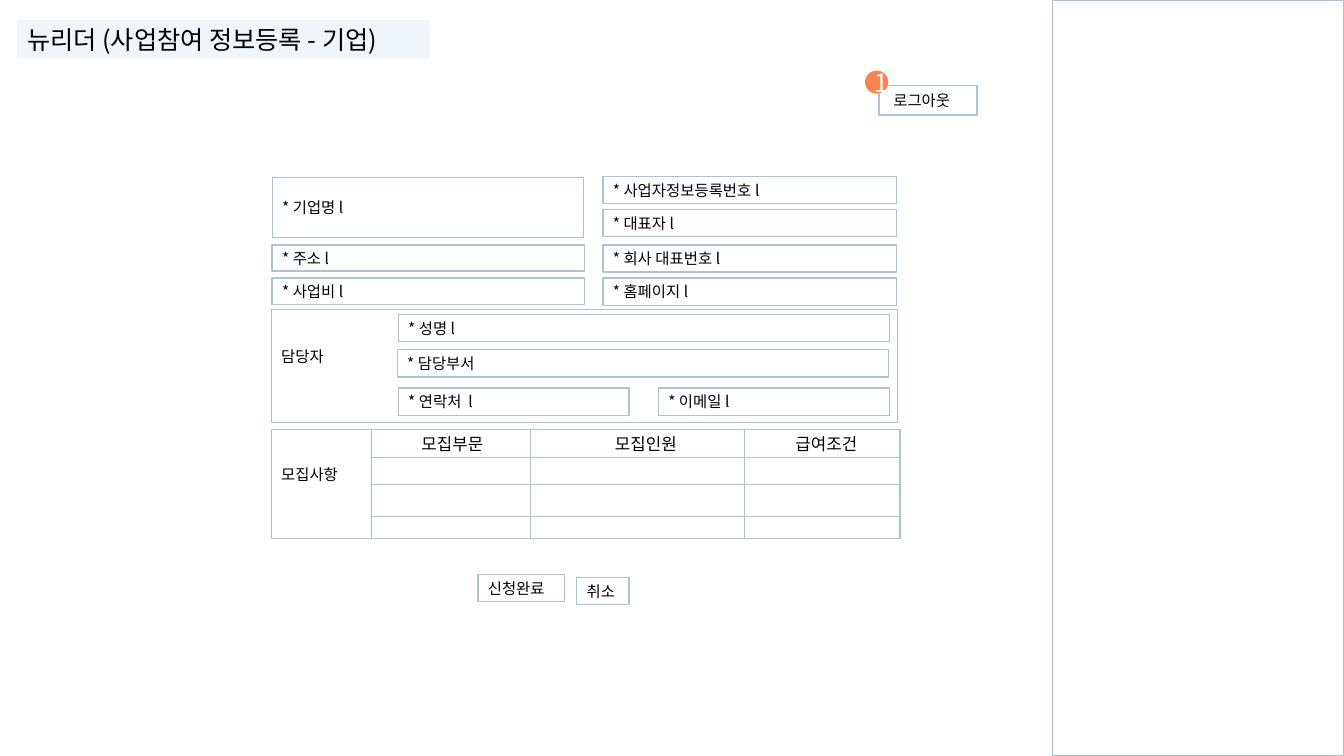
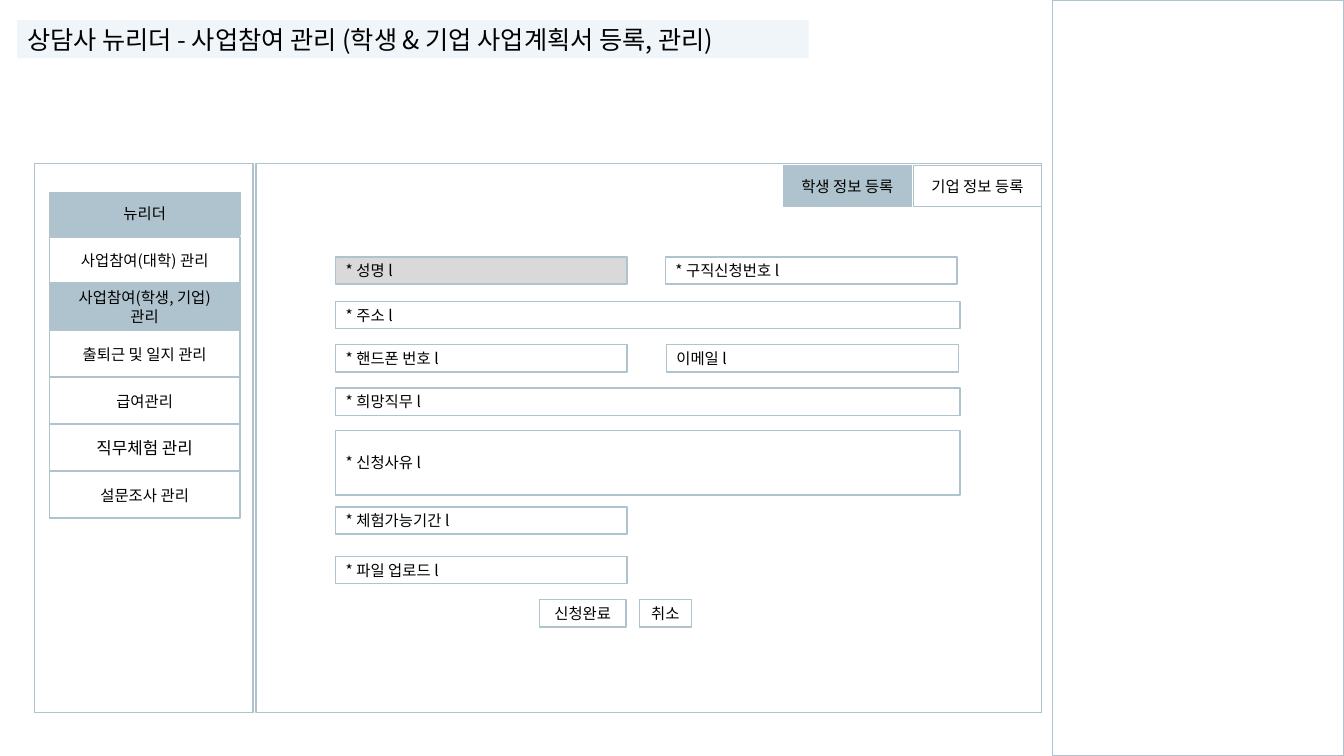
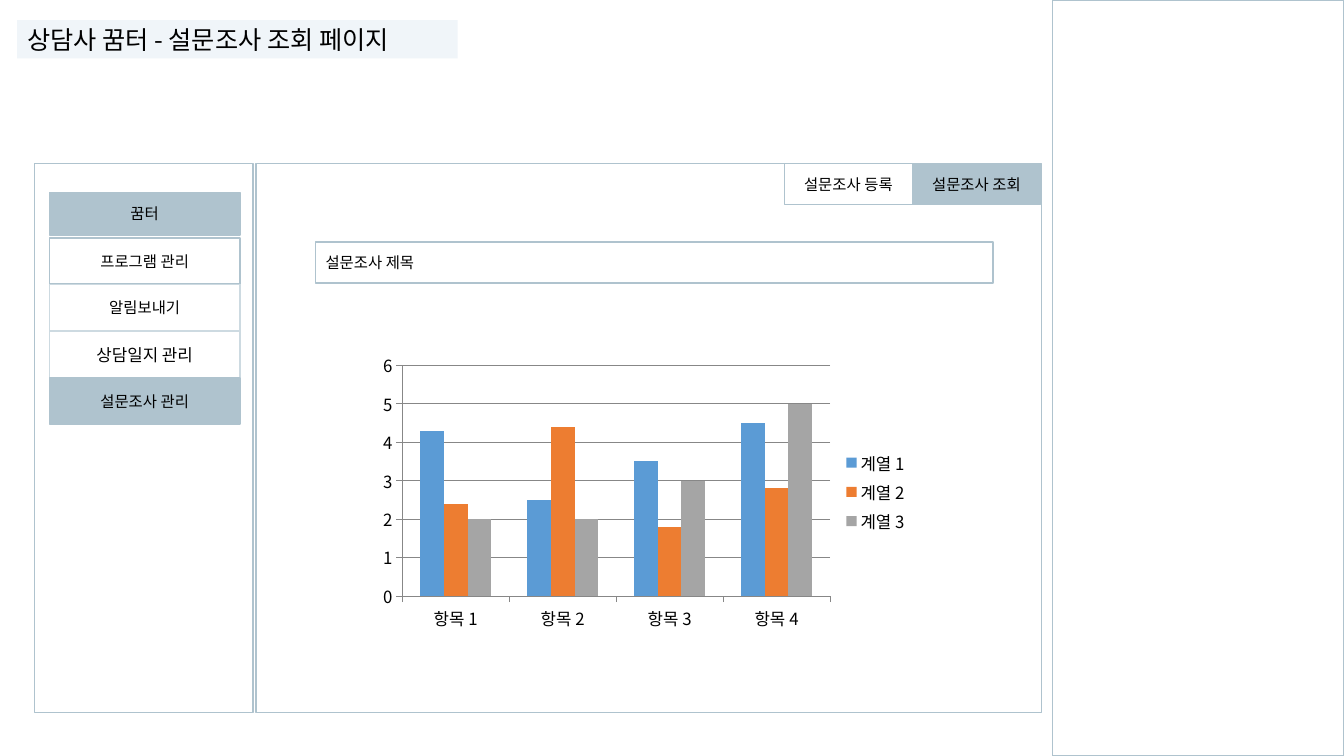
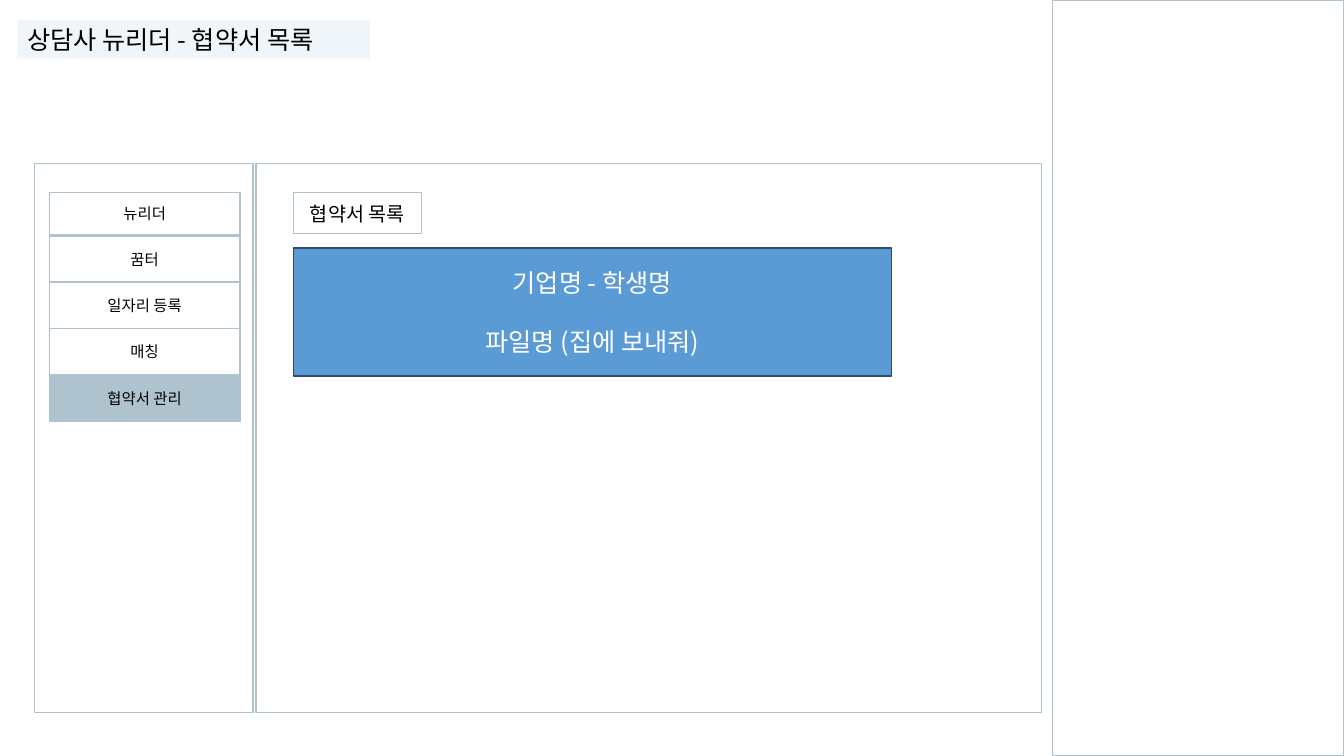
from lxml.etree import SubElement
from pptx import Presentation
from pptx.chart.data import CategoryChartData
from pptx.dml.color import RGBColor
from pptx.enum.chart import XL_CHART_TYPE, XL_LEGEND_POSITION, XL_TICK_MARK
from pptx.enum.shapes import MSO_SHAPE
from pptx.enum.text import MSO_ANCHOR, PP_ALIGN
from pptx.oxml.ns import qn
from pptx.util import Inches, Pt

FONT = "Noto Sans CJK KR"
BLACK = RGBColor(0x00, 0x00, 0x00)
WHITE = RGBColor(0xFF, 0xFF, 0xFF)
STEEL = RGBColor(0xAF, 0xC3, 0xCE)
PALE_STEEL = RGBColor(0xCD, 0xDA, 0xE1)
TITLE_BAND = RGBColor(0xF0, 0xF5, 0xF9)
GREY = RGBColor(0xD9, 0xD9, 0xD9)
CORAL = RGBColor(0xFC, 0x84, 0x53)
BLUE = RGBColor(0x5B, 0x9B, 0xD5)
NAVY = RGBColor(0x2D, 0x4D, 0x6A)
AXIS = RGBColor(0x87, 0x87, 0x87)
SERIES = [BLUE, RGBColor(0xED, 0x7D, 0x31), RGBColor(0xA5, 0xA5, 0xA5)]
LEFT, CENTER = PP_ALIGN.LEFT, PP_ALIGN.CENTER
ROW_H = 0.27


def write(tf, text, size=11, color=BLACK, align=LEFT, gap=0):
    """Fill a text frame, one paragraph per line, with gap points between."""
    for i, line in enumerate(text.split("\n")):
        p = tf.paragraphs[0] if i == 0 else tf.add_paragraph()
        p.alignment = align
        if i:
            p.space_before = Pt(gap)
        r = p.add_run()
        r.text = line
        for name, value in {"size": Pt(size), "name": FONT}.items():
            setattr(r.font, name, value)
        r.font.color.rgb = color
        SubElement(r._r.get_or_add_rPr(), qn("a:ea"), typeface=FONT)


def box(s, x, y, w, h, text="", fill=None, line=STEEL, shape=MSO_SHAPE.RECTANGLE, **style):
    """Add an outlined shape with vertically centred text."""
    sp = s.shapes.add_shape(shape, Inches(x), Inches(y), Inches(w), Inches(h))
    sp.shadow.inherit = False
    if fill is None:
        sp.fill.background()
    else:
        sp.fill.solid()
        sp.fill.fore_color.rgb = fill
    if line is None:
        sp.line.fill.background()
    else:
        sp.line.color.rgb = line
        sp.line.width = Pt(1)
    sp.text_frame.word_wrap = True
    sp.text_frame.vertical_anchor = MSO_ANCHOR.MIDDLE
    if text:
        write(sp.text_frame, text, **style)
    return sp


prs = Presentation()
prs.slide_width, prs.slide_height = Inches(13.33), Inches(7.5)

# Title band and notes column on every slide
slides = []
for title, width in [
    ("뉴리더 (사업참여 정보등록 - 기업)", 4.09),
    ("상담사 뉴리더 - 사업참여 관리 (학생 & 기업 사업계획서 등록, 관리)", 7.85),
    ("상담사 꿈터 - 설문조사 조회 페이지", 4.37),
    ("상담사 뉴리더 - 협약서 목록", 3.5),
]:
    s = prs.slides.add_slide(prs.slide_layouts[6])
    box(s, 10.44, 0, 2.89, 7.5)
    box(s, 0.17, 0.2, width, 0.38, title, fill=TITLE_BAND, line=None, size=18)
    slides.append(s)
company, student, survey, agreement = slides

# Side menu and content panel: first row, step, selected rows, larger rows, pale rows
for s, top, step, selected, larger, pale, items in [
    (student, 2.35, 0.466, (0, 2), (5,), (),
     ["뉴리더", "사업참여(대학) 관리", "사업참여(학생, 기업)\n관리", "출퇴근 및 일지 관리",
      "급여관리", "직무체험 관리", "설문조사 관리"]),
    (survey, 2.36, 0.463, (0, 4), (3,), (2, 3),
     ["꿈터", "프로그램 관리", "알림보내기", "상담일지 관리", "설문조사 관리"]),
    (agreement, 2.34, 0.46, (4,), (), (),
     ["뉴리더", "꿈터", "일자리 등록", "매칭", "협약서 관리"]),
]:
    box(s, 2.54, 1.62, 7.79, 5.45)
    box(s, 0.34, 1.62, 2.17, 5.45)
    for i, item in enumerate(items):
        y, h = (top + (i - 1) * step, 0.46) if i else (1.91, 0.42)
        box(s, 0.49, y, 1.89, h, item, fill=STEEL if i in selected else None,
            line=PALE_STEEL if i in pale else STEEL,
            size=12 if i in larger else 11, align=CENTER)

# Company form: logout button with its number
sp = box(company, 8.72, 0.85, 0.97, 0.29, "로그아웃")
sp.text_frame.margin_left = Inches(0.14)
box(company, 8.58, 0.7, 0.23, 0.23, "1", fill=CORAL, line=None,
    shape=MSO_SHAPE.OVAL, size=18, color=WHITE, align=CENTER)

# Company form: fields and buttons
for text, x, y, w, h in [
    ("* 기업명 l", 2.7, 1.76, 3.09, 0.6),
    ("* 주소 l", 2.7, 2.43, 3.1, 0.26),
    ("* 사업비 l", 2.7, 2.76, 3.1, 0.26),
    ("* 사업자정보등록번호 l", 5.98, 1.75, 2.91, ROW_H),
    ("* 대표자 l", 5.98, 2.08, 2.91, ROW_H),
    ("* 회사 대표번호 l", 5.98, 2.43, 2.91, ROW_H),
    ("* 홈페이지 l", 5.98, 2.76, 2.91, ROW_H),
    ("* 성명 l", 3.95, 3.12, 4.87, ROW_H),
    ("* 담당부서", 3.94, 3.47, 4.87, ROW_H),
    ("* 연락처  l", 3.95, 3.85, 2.29, ROW_H),
    ("* 이메일 l", 6.53, 3.85, 2.29, ROW_H),
    ("신청완료", 4.74, 5.7, 0.86, ROW_H),
    ("취소", 5.72, 5.73, 0.52, ROW_H),
]:
    box(company, x, y, w, h, text)

# Company form: section frames, label a little above the middle
for text, y, w, h in [("담당자", 3.07, 6.21, 1.12), ("모집사항", 4.26, 6.24, 1.08)]:
    sp = box(company, 2.69, y, w, h, text)
    sp.text_frame.margin_bottom = Inches(0.24)

# Company form: recruitment table
widths, heights = [1.58, 2.12, 1.54], [0.28, 0.27, 0.31, 0.22]
headers = [("모집부문", 0.5), ("모집인원", 0.84), ("급여조건", 0.51)]
table = company.shapes.add_table(4, 3, Inches(3.68), Inches(4.26),
                                 Inches(sum(widths)), Inches(sum(heights))).table
table.first_row = table.horz_banding = False
for column, w in zip(table.columns, widths):
    column.width = Inches(w)
for row, h in zip(table.rows, heights):
    row.height = Inches(h)
for cell in table.iter_cells():
    for name in ("margin_left", "margin_right", "margin_top", "margin_bottom"):
        setattr(cell, name, 0)
    cell.vertical_anchor = MSO_ANCHOR.MIDDLE
    for side in ("a:lnL", "a:lnR", "a:lnT", "a:lnB"):
        ln = SubElement(cell._tc.get_or_add_tcPr(), qn(side), w=str(Pt(0.5)))
        SubElement(SubElement(ln, qn("a:solidFill")), qn("a:srgbClr"), val=str(STEEL))
    cell.fill.background()
for i, (text, indent) in enumerate(headers):
    cell = table.cell(0, i)
    cell.margin_left = Inches(indent)
    write(cell.text_frame, text, size=12)
    for j in range(1, len(heights)):
        SubElement(table.cell(j, i).text_frame.paragraphs[0]._p, qn("a:endParaRPr"), sz="800")

# Student form: tabs, fields and buttons
box(student, 9.06, 1.64, 1.27, 0.41, "기업 정보 등록", align=CENTER)
box(student, 7.77, 1.64, 1.27, 0.41, "학생 정보 등록", fill=STEEL, align=CENTER)
for text, x, y, w, h, fill, align in [
    ("* 성명 l", 3.33, 2.55, 2.89, ROW_H, GREY, LEFT),
    ("* 구직신청번호 l", 6.6, 2.55, 2.89, ROW_H, None, LEFT),
    ("* 주소 l", 3.33, 2.99, 6.19, ROW_H, None, LEFT),
    ("* 핸드폰 번호 l", 3.33, 3.42, 2.89, ROW_H, None, LEFT),
    ("이메일 l", 6.61, 3.42, 2.9, ROW_H, None, LEFT),
    ("* 희망직무 l", 3.33, 3.85, 6.19, ROW_H, None, LEFT),
    ("* 신청사유 l", 3.33, 4.27, 6.19, 0.64, None, LEFT),
    ("* 체험가능기간 l", 3.33, 5.03, 2.89, ROW_H, None, LEFT),
    ("* 파일 업로드 l", 3.33, 5.52, 2.89, ROW_H, None, LEFT),
    ("신청완료", 5.35, 5.95, 0.86, ROW_H, None, CENTER),
    ("취소", 6.34, 5.95, 0.52, ROW_H, None, CENTER),
]:
    box(student, x, y, w, h, text, fill=fill, align=align)

# Survey results: tabs and survey title
box(survey, 9.05, 1.62, 1.27, 0.41, "설문조사 조회", fill=STEEL, align=CENTER)
box(survey, 7.78, 1.62, 1.27, 0.41, "설문조사 등록", align=CENTER)
box(survey, 3.13, 2.4, 6.72, 0.41, "설문조사 제목")

# Survey results: chart
data = CategoryChartData()
data.categories = ["항목 1", "항목 2", "항목 3", "항목 4"]
data.add_series("계열 1", [4.3, 2.5, 3.5, 4.5])
data.add_series("계열 2", [2.4, 4.4, 1.8, 2.8])
data.add_series("계열 3", [2, 2, 3, 5])
chart = survey.shapes.add_chart(XL_CHART_TYPE.COLUMN_CLUSTERED, Inches(3.69), Inches(3.44),
                                Inches(5.42), Inches(2.88), data).chart
for name, value in {"size": Pt(12), "name": FONT}.items():
    setattr(chart.font, name, value)
chart.font.color.rgb = BLACK
chart.has_title = False
chart.has_legend = True
chart.legend.position = XL_LEGEND_POSITION.RIGHT
chart.legend.include_in_layout = False
plot = chart.plots[0]
for name, value in {"gap_width": 150, "overlap": 0, "vary_by_categories": False}.items():
    setattr(plot, name, value)
for series, color in zip(plot.series, SERIES):
    series.format.fill.solid()
    series.format.fill.fore_color.rgb = color
for axis in (chart.category_axis, chart.value_axis):
    axis.major_tick_mark = XL_TICK_MARK.OUTSIDE
    axis.format.line.color.rgb = AXIS
for name, value in {"minimum_scale": 0, "maximum_scale": 6, "major_unit": 1}.items():
    setattr(chart.value_axis, name, value)
chart.value_axis.major_gridlines.format.line.color.rgb = AXIS

# Agreement list
box(agreement, 2.91, 1.91, 1.27, 0.41, "협약서 목록", size=14, align=CENTER)
box(agreement, 2.91, 2.46, 5.93, 1.27, "기업명 - 학생명\n파일명 (집에 보내줘)",
    fill=BLUE, line=NAVY, size=18, color=WHITE, align=CENTER, gap=21)

prs.save("out.pptx")
